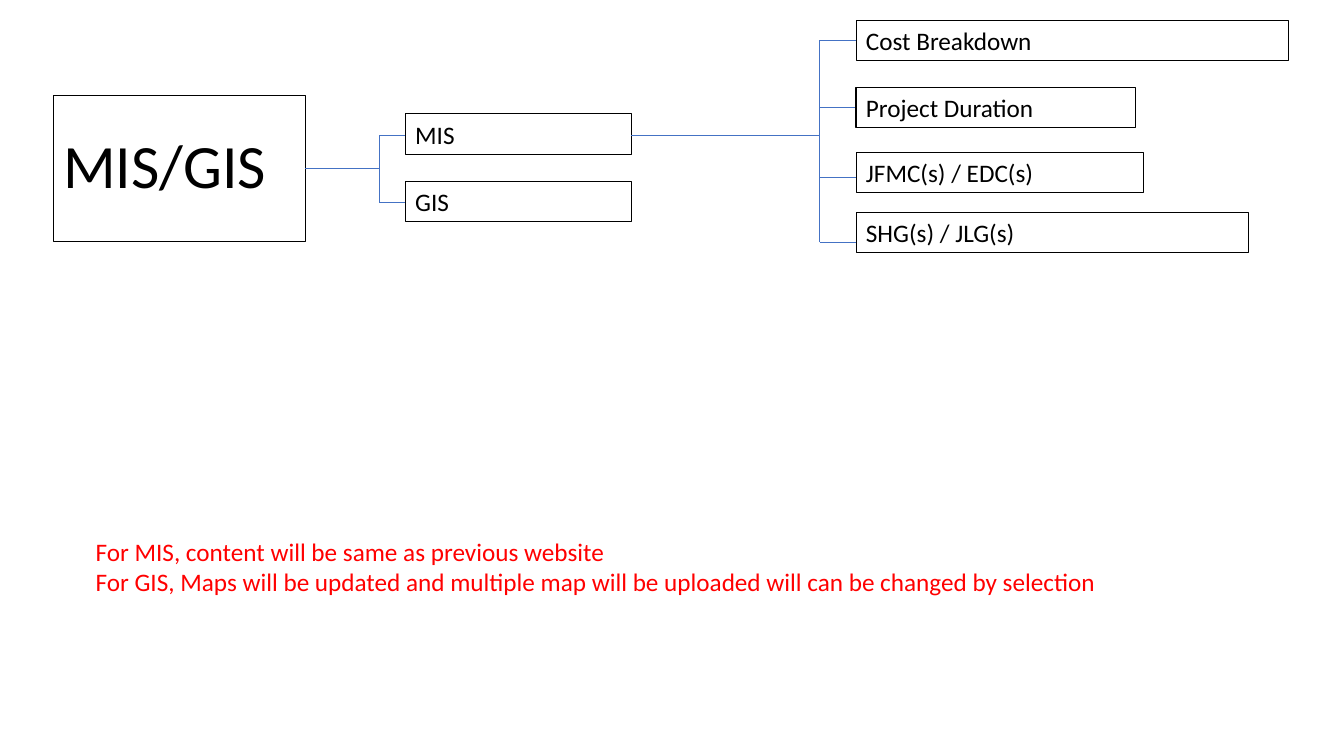
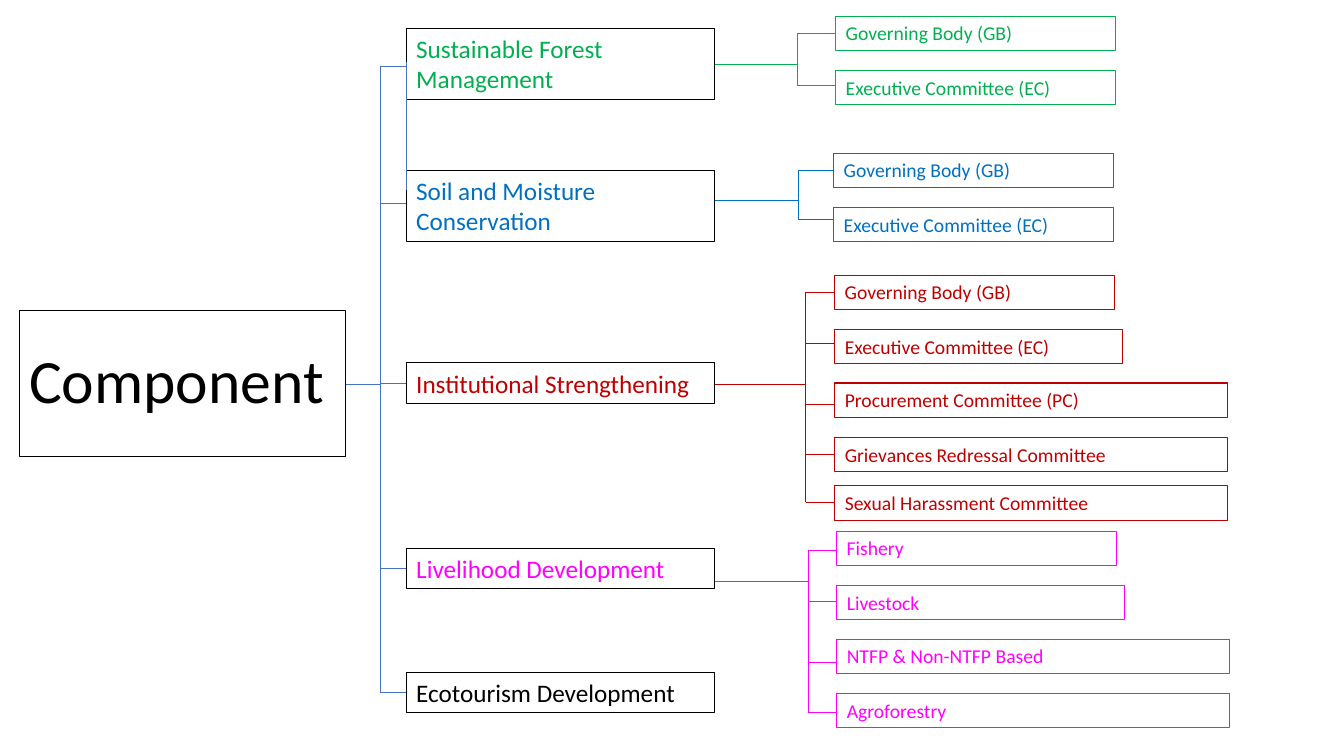
from collections import namedtuple

from lxml import etree
from pptx import Presentation
from pptx.dml.color import RGBColor
from pptx.enum import shapes, text
from pptx.oxml import ns
from pptx.util import Inches, Pt

BLACK = RGBColor(0x00, 0x00, 0x00)
STEEL = RGBColor(0x44, 0x72, 0xC4)
GREEN = RGBColor(0x00, 0xB0, 0x50)
BLUE = RGBColor(0x00, 0x70, 0xC0)
CRIMSON = RGBColor(0xC0, 0x00, 0x00)
MAGENTA = RGBColor(0xFF, 0x00, 0xFF)
RED = RGBColor(0xFF, 0x00, 0x00)
FONT = "Calibri"
TITLE_SIZE, NODE_SIZE, LEAF_SIZE = 44, 18, 14
NODE_HEIGHT, TALL_HEIGHT, LEAF_HEIGHT = 0.4, 0.71, 0.34

Box = namedtuple("Box", "left top width height")
Node = namedtuple("Node", "label top width height tick color border size")
Bracket = namedtuple("Bracket", "left top stem trunk reach color")


def node(label, top, width, tick, color=BLACK, height=NODE_HEIGHT):
    return Node(label, top, width, height, tick, color, BLACK, NODE_SIZE)


def leaf(label, top, width, tick, color):
    return Node(label, top, width, LEAF_HEIGHT, tick, color, color, LEAF_SIZE)


def add_text(page, box, lines, size, color, wrap=True):
    shape = page.shapes.add_textbox(*map(Inches, box))
    frame = shape.text_frame
    frame.word_wrap = wrap
    frame.text = "\n".join(lines)
    for para in frame.paragraphs:
        for span in para.runs:
            span.font.name = FONT
            span.font.size = Pt(size)
            span.font.color.rgb = color
    return shape


def add_framed_text(page, box, label, size, color, border):
    shape = add_text(page, box, [label], size, color)
    shape.line.color.rgb = border
    shape.line.width = Pt(0.75)
    return shape


def add_title(page, box, label):
    frame = add_framed_text(page, box, label, TITLE_SIZE, BLACK, BLACK).text_frame
    frame.vertical_anchor = text.MSO_ANCHOR.MIDDLE
    frame.paragraphs[0].line_spacing = 0.9


def add_line(page, start, end, color):
    line = page.shapes.add_connector(
        shapes.MSO_CONNECTOR.STRAIGHT, *map(Inches, (*start, *end)))
    line.line.color.rgb = color
    line.line.width = Pt(0.5)
    etree.SubElement(line._element.spPr, ns.qn("a:effectLst"))


def add_branch(page, bracket, nodes):
    trunk = bracket.left + bracket.trunk
    reach = bracket.left + bracket.reach
    stem = bracket.top + bracket.stem
    ticks = [bracket.top + item.tick for item in nodes]
    add_line(page, (bracket.left, stem), (trunk, stem), bracket.color)
    add_line(page, (trunk, ticks[0]), (trunk, ticks[-1]), bracket.color)
    for item, tick in zip(nodes, ticks):
        add_line(page, (trunk, tick), (reach, tick), bracket.color)
        box = Box(reach, bracket.top + item.top, item.width, item.height)
        add_framed_text(page, box, item.label, item.size, item.color, item.border)


def build_mis_gis(page):
    add_title(page, Box(0.53, 0.95, 2.5, 1.45), "MIS/GIS")
    add_branch(page, Bracket(3.03, 1.13, 0.54, 0.73, 0.99, STEEL), [
        node("MIS", 0, 2.24, 0.21),
        node("GIS", 0.67, 2.24, 0.88),
    ])
    add_branch(page, Bracket(6.26, 0.2, 1.14, 1.87, 2.23, STEEL), [
        node("Cost Breakdown", 0, 4.29, 0.2),
        node("Project Duration", 0.67, 2.77, 0.87),
        node("JFMC(s) / EDC(s)", 1.31, 2.85, 1.56),
        node("SHG(s) / JLG(s)", 1.91, 3.89, 2.2),
    ])
    add_text(page, Box(0.85, 5.27, 10.25, 0.71), [
        "For MIS, content will be same as previous website",
        "For GIS, Maps will be updated and multiple map will be uploaded "
        "will can be changed by selection",
    ], NODE_SIZE, RED, wrap=False)


def build_component(page):
    add_title(page, Box(0.19, 3.08, 3.24, 1.45), "Component")
    add_branch(page, Bracket(3.43, 0.28, 3.53, 0.34, 0.6, STEEL), [
        node("Sustainable Forest Management", 0, 3.06, 0.38, GREEN, TALL_HEIGHT),
        node("Soil and Moisture Conservation", 1.41, 3.06, 1.74, BLUE, TALL_HEIGHT),
        node("Institutional Strengthening", 3.32, 3.06, 3.52, CRIMSON),
        node("Livelihood Development", 5.16, 3.06, 5.36, MAGENTA),
        node("Ecotourism Development", 6.39, 3.06, 6.59),
    ])
    add_line(page, (4.03, 0.62), (4.03, 1.89), STEEL)

    branches = [
        (Bracket(7.09, 0.16, 0.48, 0.82, 1.2, GREEN), [
            ("Governing Body (GB)", 0, 2.77, 0.17),
            ("Executive Committee (EC)", 0.54, 2.77, 0.69),
        ]),
        (Bracket(7.09, 1.52, 0.47, 0.83, 1.18, BLUE), [
            ("Governing Body (GB)", 0, 2.77, 0.17),
            ("Executive Committee (EC)", 0.54, 2.77, 0.66),
        ]),
        (Bracket(7.09, 2.73, 1.08, 0.9, 1.19, CRIMSON), [
            ("Governing Body (GB)", 0, 2.77, 0.17),
            ("Executive Committee (EC)", 0.54, 2.85, 0.68),
            ("Procurement Committee (PC)", 1.07, 3.89, 1.28),
            ("Grievances Redressal Committee", 1.61, 3.89, 1.78),
            ("Sexual Harassment Committee", 2.09, 3.89, 2.25),
        ]),
        (Bracket(7.09, 5.27, 0.5, 0.93, 1.21, MAGENTA), [
            ("Fishery", 0, 2.77, 0.19),
            ("Livestock", 0.54, 2.85, 0.7),
            ("NTFP & Non-NTFP Based", 1.07, 3.89, 1.3),
            ("Agroforestry", 1.61, 3.89, 1.8),
        ]),
    ]
    for bracket, rows in branches:
        add_branch(page, bracket, [leaf(*row, bracket.color) for row in rows])


def main():
    deck = Presentation()
    deck.slide_width = Inches(13.33)
    deck.slide_height = Inches(7.5)
    for build in (build_mis_gis, build_component):
        build(deck.slides.add_slide(deck.slide_layouts[6]))
    deck.save("out.pptx")


if __name__ == "__main__":
    main()
